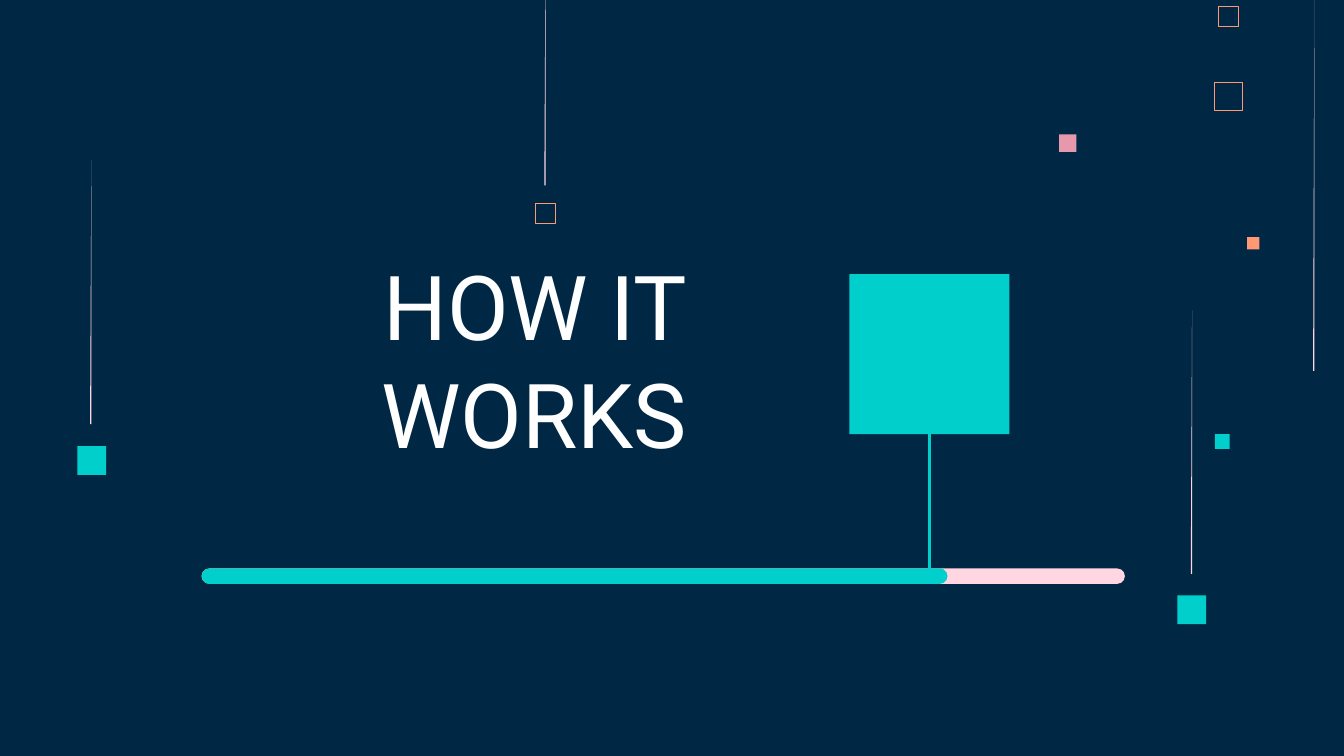
from pptx import Presentation
from pptx.dml.color import RGBColor
from pptx.enum.shapes import MSO_CONNECTOR, MSO_SHAPE
from pptx.enum.text import MSO_ANCHOR, MSO_AUTO_SIZE, PP_ALIGN
from pptx.oxml.ns import qn
from pptx.util import Inches, Pt
from lxml.etree import SubElement

COLORS = {"navy": "002845", "teal": "00CFCC", "rose": "E898AC",
          "blush": "FFD6E1", "peach": "FF9973", "white": "FFFFFF"}

# The slide is a grid of 100 columns by 56.25 rows of square cells
COLS, ROWS = 100, 56.25
CELL = Inches(0.1)


def grid(*cells):
    return [round(n * CELL) for n in cells]


def color(name):
    return RGBColor.from_string(COLORS[name])


def paint(shape, fill=None, line=None, width=0):
    shape.shadow.inherit = False
    if fill:
        shape.fill.solid()
        shape.fill.fore_color.rgb = color(fill)
    else:
        shape.fill.background()
    if line:
        shape.line.color.rgb = color(line)
        shape.line.width = Pt(width)
    else:
        shape.line.fill.background()


def square(slide, x, y, side, **look):
    shape = slide.shapes.add_shape(MSO_SHAPE.RECTANGLE, *grid(x, y, side, side))
    paint(shape, **look)


def bar(slide, x, y, wide, high, fill):
    shape = slide.shapes.add_shape(MSO_SHAPE.ROUNDED_RECTANGLE,
                                   *grid(x, y, wide, high))
    shape.adjustments[0] = 0.5
    paint(shape, fill=fill)


def streak(slide, x, top, end):
    """A thin wedge that widens from its tip down to its foot."""
    left, right, tip, foot = grid(x, x + 0.1, top, end)
    path = slide.shapes.build_freeform(right, tip)
    path.add_line_segments([(left, foot), (right, foot)], close=True)
    paint(path.convert_to_shape(), fill="blush")


def stem(slide, x, top, end, line, width):
    wire = slide.shapes.add_connector(MSO_CONNECTOR.STRAIGHT,
                                      *grid(x, top, x, end))
    wire.line.color.rgb = color(line)
    wire.line.width = Pt(width)
    SubElement(wire.element.spPr, qn("a:effectLst"))


def write(shape, text, size, tint, font="Roboto", align=PP_ALIGN.CENTER,
          anchor=MSO_ANCHOR.BOTTOM, inset=1):
    frame = shape.text_frame
    frame.word_wrap = True
    frame.auto_size = MSO_AUTO_SIZE.NONE
    frame.vertical_anchor = anchor
    pad, = grid(inset)
    frame.margin_left = frame.margin_right = pad
    frame.margin_top = frame.margin_bottom = pad
    para = frame.paragraphs[0]
    para.alignment = align
    para.line_spacing = 1.0
    run = para.add_run()
    run.text = text
    run.font.name = font
    run.font.size = Pt(size)
    run.font.color.rgb = color(tint)


def main():
    deck = Presentation()
    deck.slide_width, deck.slide_height = grid(COLS, ROWS)
    slide = deck.slides.add_slide(deck.slide_layouts[5])
    slide.background.fill.solid()
    slide.background.fill.fore_color.rgb = color("navy")

    # Filled squares
    for x, y, side, fill in [(78.8, 10, 1.3, "rose"), (90.4, 32.3, 1.1, "teal"),
                             (92.8, 17.65, 0.9, "peach"),
                             (87.6, 44.3, 2.15, "teal"),
                             (5.75, 33.2, 2.15, "teal")]:
        square(slide, x, y, side, fill=fill)

    # Outlined squares
    for x, y, side, width in [(90.35, 6.1, 2.1, 0.45), (90.65, 0.45, 1.5, 0.32),
                              (39.85, 15.1, 1.5, 0.32)]:
        square(slide, x, y, side, line="peach", width=width)

    # Falling streaks
    for x, top, end in [(40.5, -4.8, 13.8), (97.7, 0, 27.6),
                        (88.6, 23.1, 42.7), (6.7, 11.9, 31.55)]:
        streak(slide, x, top, end)

    # Title
    title = slide.shapes.title
    title.left, title.top, title.width, title.height = grid(25.4, 26.5, 28.7, 9.2)
    write(title, "HOW IT WORKS", size=48, tint="white")

    # Progress bar with its marker
    square(slide, 63.2, 20.4, 11.9, fill="teal")
    for wide, fill in [(68.7, "blush"), (55.5, "teal")]:
        bar(slide, 15, 42.3, wide, 1.15, fill)
    stem(slide, 69.15, 32.3, 43, "teal", 1.5)

    deck.save("out.pptx")


main()
